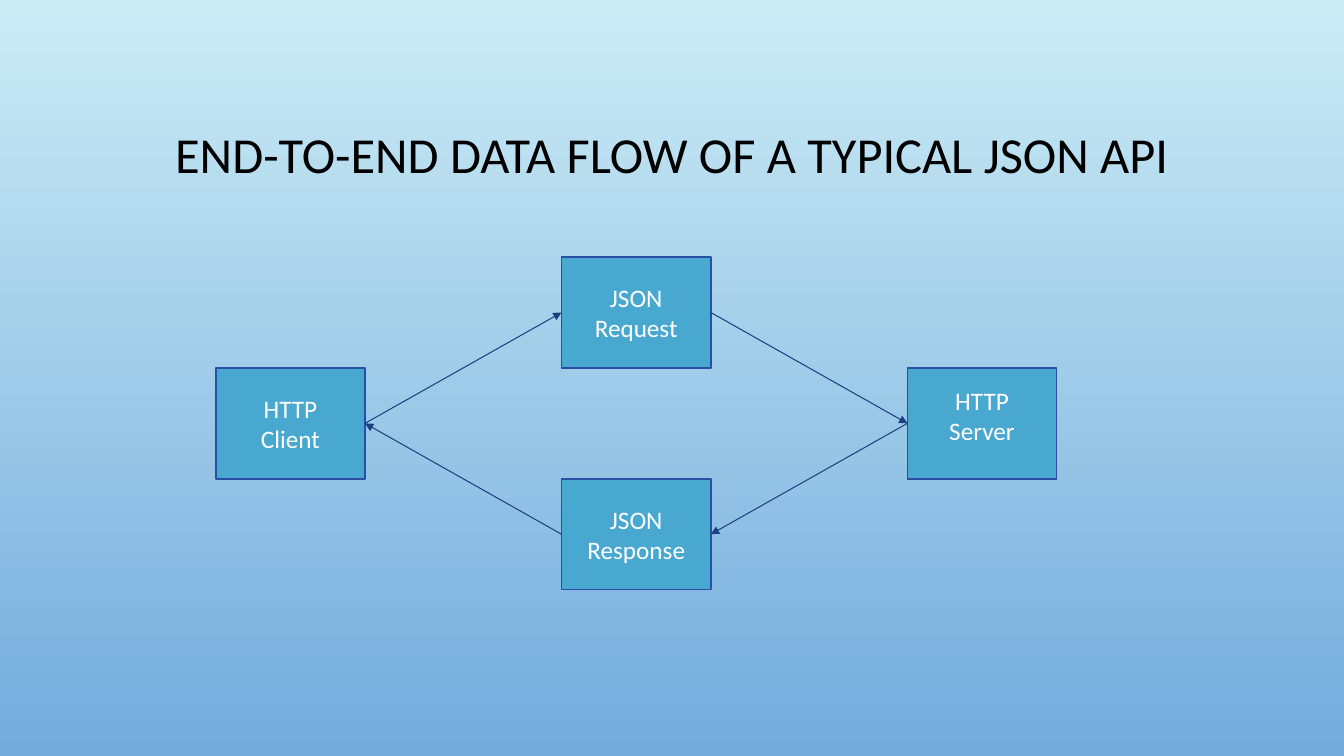
from dataclasses import dataclass

from lxml.etree import SubElement
from pptx import Presentation
from pptx.dml.color import RGBColor
from pptx.enum.shapes import MSO_CONNECTOR, MSO_SHAPE
from pptx.enum.text import MSO_ANCHOR, MSO_AUTO_SIZE, PP_ALIGN
from pptx.oxml.ns import qn
from pptx.util import Inches, Pt


@dataclass(frozen=True)
class Theme:
    font: str = "Calibri"
    title_size: int = 36
    label_size: int = 18
    title_color: str = "000000"
    label_color: str = "FFFFFF"
    background: tuple = ("CBECF5", "73ABDD")
    node_fill: str = "48A8D0"
    node_line: str = "274FA4"
    arrow: str = "1F3F83"


# Diagram grid, in inches
LEFT, TOP = 2.14, 2.55
COLUMN, ROW = 3.43, 1.1
NODE_WIDTH, NODE_HEIGHT = 1.48, ROW
LABEL_HEIGHT = 0.71

# Connection sites of a rectangle
LEFT_SIDE, RIGHT_SIDE = 1, 3


class FlowSlide:
    def __init__(self, page, theme):
        self.page = page
        self.theme = theme

    def background(self):
        fill = self.page.background.fill
        fill.gradient()
        fill.gradient_angle = 270
        for stop, color in zip(fill.gradient_stops, self.theme.background):
            stop.color.rgb = RGBColor.from_string(color)

    def text(self, words, left, top, width, height, size, color):
        box = self.page.shapes.add_textbox(
            Inches(left), Inches(top), Inches(width), Inches(height))
        box.text_frame.word_wrap = True
        para = box.text_frame.paragraphs[0]
        para.alignment = PP_ALIGN.CENTER
        span = para.add_run()
        span.text = words
        span.font.name = self.theme.font
        span.font.size = Pt(size)
        span.font.color.rgb = RGBColor.from_string(color)
        return box.text_frame

    def title(self, words):
        frame = self.text(words, 1, 0.68, 11.33, 1.75,
                          self.theme.title_size, self.theme.title_color)
        frame.vertical_anchor = MSO_ANCHOR.MIDDLE
        frame.paragraphs[0].line_spacing = 0.9

    def node(self, column, row):
        box = self.page.shapes.add_shape(
            MSO_SHAPE.RECTANGLE,
            Inches(LEFT + column * COLUMN), Inches(TOP + row * ROW),
            Inches(NODE_WIDTH), Inches(NODE_HEIGHT))
        box.shadow.inherit = False
        box.fill.solid()
        box.fill.fore_color.rgb = RGBColor.from_string(self.theme.node_fill)
        box.line.color.rgb = RGBColor.from_string(self.theme.node_line)
        box.line.width = Pt(1.25)
        return box

    def label(self, words, column, row, inset, drop):
        frame = self.text(words, LEFT + column * COLUMN + inset,
                          TOP + row * ROW + drop,
                          NODE_WIDTH - 2 * inset, LABEL_HEIGHT,
                          self.theme.label_size, self.theme.label_color)
        frame.auto_size = MSO_AUTO_SIZE.SHAPE_TO_FIT_TEXT

    def arrow(self, start, start_side, end, end_side):
        line = self.page.shapes.add_connector(MSO_CONNECTOR.STRAIGHT, 0, 0, 0, 0)
        line.begin_connect(start, start_side)
        line.end_connect(end, end_side)
        line.line.color.rgb = RGBColor.from_string(self.theme.arrow)
        line.line.width = Pt(0.75)
        SubElement(line.line._get_or_add_ln(), qn("a:tailEnd"), type="triangle")
        SubElement(line._element.spPr, qn("a:effectLst"))


def main():
    deck = Presentation()
    deck.slide_width, deck.slide_height = Inches(13.33), Inches(7.5)
    slide = FlowSlide(deck.slides.add_slide(deck.slide_layouts[6]), Theme())

    # Background and title
    slide.background()
    slide.title("END-TO-END DATA FLOW OF A TYPICAL JSON API")

    # Nodes: words, column, row, label inset and drop
    nodes = [
        ("HTTP Client", 0, 1, 0.2, 0.2),
        ("JSON Request", 1, 0, 0, 0.2),
        ("HTTP Server", 2, 1, 0.2, 0.12),
        ("JSON Response", 1, 2, 0, 0.2),
    ]
    client, request, server, response = [
        slide.node(column, row) for _, column, row, _, _ in nodes]
    for node in nodes:
        slide.label(*node)

    # Arrows round the loop
    slide.arrow(client, RIGHT_SIDE, request, LEFT_SIDE)
    slide.arrow(request, RIGHT_SIDE, server, LEFT_SIDE)
    slide.arrow(server, LEFT_SIDE, response, RIGHT_SIDE)
    slide.arrow(response, LEFT_SIDE, client, RIGHT_SIDE)

    deck.save("out.pptx")


if __name__ == "__main__":
    main()
